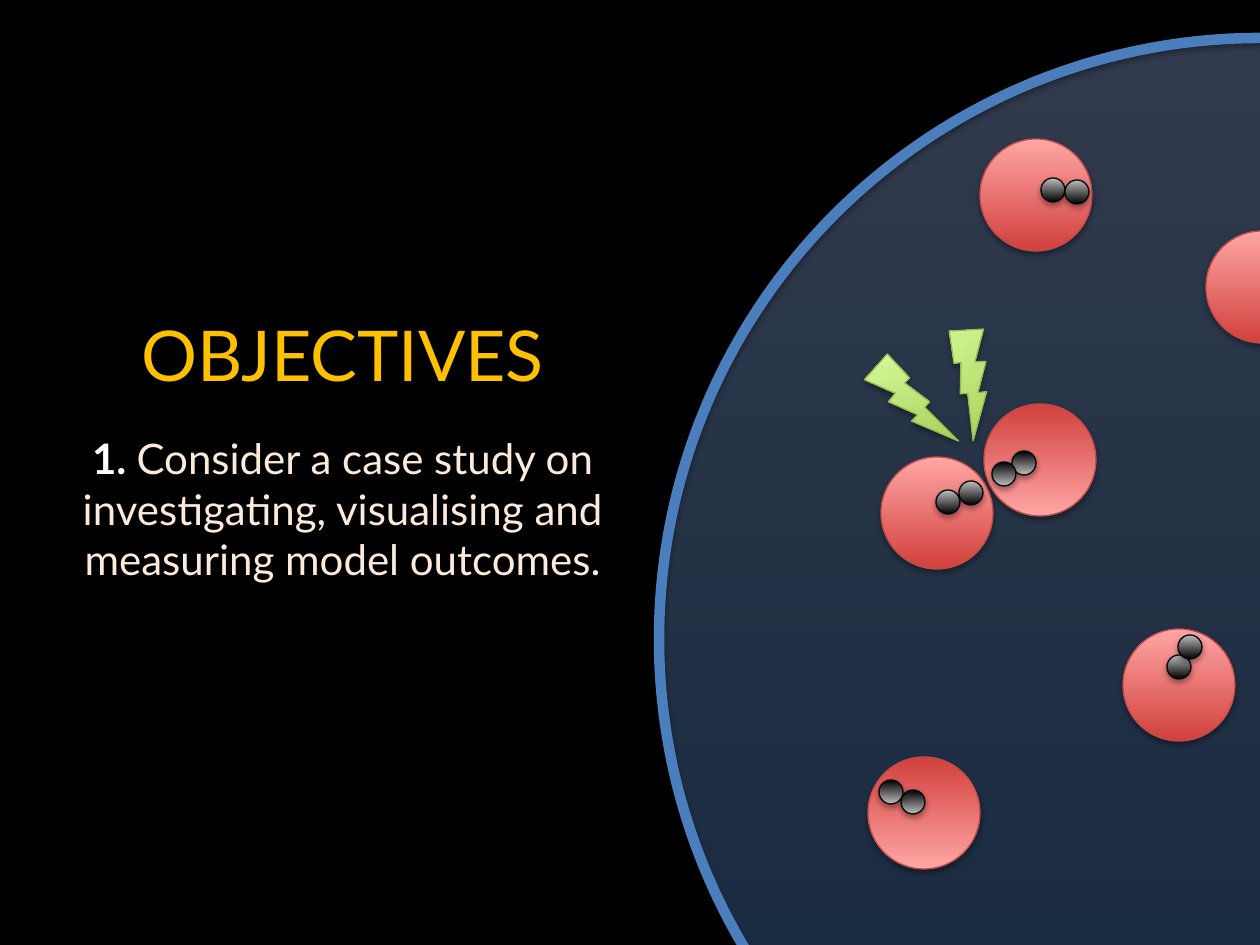
from typing import NamedTuple, Optional

from lxml.etree import SubElement as Sub
from pptx import Presentation
from pptx.dml.color import RGBColor as Rgb
from pptx.enum.shapes import MSO_SHAPE as Kind
from pptx.enum.text import MSO_ANCHOR as Anchor, PP_ALIGN as Align
from pptx.oxml.ns import qn
from pptx.util import Pt

SCALE = 914400 / 126
FONT = "Lato"
HEX = {
    "back": "000000", "title": "FFC000", "mark": "FFFFFF", "body": "FDEADA",
    "rim": "4B7EBC", "deep": "3F80CE", "pale": "A4C4FF",
    "red": "D1403C", "pink": "FFA6A5", "edge": "BF4C48",
    "black": "000000", "grey": "BDBDBD",
    "green": "A0CA4A", "lime": "DAFFA5", "leaf": "98B955",
}
DISC = (659, 38, 1202, 1202)
CELL, BALL = 112, 24


class Look(NamedTuple):
    line: str
    width: float = 0.75
    low: Optional[str] = None
    high: Optional[str] = None
    alpha: int = 100


class Cell(NamedTuple):
    left: int
    top: int
    balls: tuple = ()
    turned: bool = False


class Bolt(NamedTuple):
    left: int
    top: int
    angle: float
    flip: bool = False


HAZE = Look("rim", 0.75, "deep", "pale", 29)
RING = Look("rim", 6)
FLESH = Look("edge", 0.75, "red", "pink")
BEAD = Look("black", 0.75, "black", "grey")
SPARK = Look("leaf", 0.75, "green", "lime")

CELLS = [
    Cell(881, 457, ((936, 490), (959, 481))),
    Cell(984, 404, ((1012, 451), (992, 462)), True),
    Cell(868, 757, ((901, 790), (879, 780)), True),
    Cell(1206, 231),
    Cell(1123, 629, ((1167, 655), (1178, 635))),
    Cell(980, 139, ((1041, 178), (1065, 180))),
]
BOLTS = [Bolt(872, 350, 344.3), Bolt(936, 326, 324.1, True)]


def px(count: int) -> int:
    return round(count * SCALE)


def tint(name: str) -> Rgb:
    return Rgb.from_string(HEX[name])


def shade(shape) -> None:
    list_ = Sub(shape._element.spPr, qn("a:effectLst"))
    cast = Sub(list_, qn("a:outerShdw"), blurRad="40000", dist="23000",
               dir="5400000", rotWithShape="0")
    color = Sub(cast, qn("a:srgbClr"), val=HEX["black"])
    Sub(color, qn("a:alpha"), val="35000")


def draw(slide, kind: Kind, box: tuple, look: Look, turned: bool = False):
    shape = slide.shapes.add_shape(kind, *map(px, box))
    fill = shape.fill
    if look.low:
        fill.gradient()
        fill.gradient_angle = 270 if turned else 90
        for stop, name in zip(fill.gradient_stops, (look.low, look.high)):
            stop.color.rgb = tint(name)
        if look.alpha < 100:
            for color in shape._element.spPr.iter(qn("a:srgbClr")):
                Sub(color, qn("a:alpha"), val=str(look.alpha * 1000))
    else:
        fill.background()
    shape.line.color.rgb = tint(look.line)
    shape.line.width = Pt(look.width)
    shade(shape)
    return shape


def draw_cell(slide, cell: Cell) -> None:
    draw(slide, Kind.OVAL, (cell.left, cell.top, CELL, CELL), FLESH, cell.turned)
    for left, top in cell.balls:
        draw(slide, Kind.OVAL, (left, top, BALL, BALL), BEAD, cell.turned)


def draw_bolt(slide, bolt: Bolt) -> None:
    shape = draw(slide, Kind.LIGHTNING_BOLT, (bolt.left, bolt.top, 74, 103), SPARK)
    shape.rotation = bolt.angle
    if bolt.flip:
        shape._element.spPr.xfrm.set("flipH", "1")


def write(para, size: int, parts: list) -> None:
    para.alignment = Align.CENTER
    para.font.name = FONT
    para.font.size = Pt(size)
    for text, name, bold in parts:
        run = para.add_run()
        run.text = text
        run.font.color.rgb = tint(name)
        run.font.bold = bold


def draw_text(slide) -> None:
    frame = slide.shapes.add_textbox(*map(px, (0, 38, 685, 820))).text_frame
    frame.word_wrap = True
    frame.vertical_anchor = Anchor.MIDDLE
    write(frame.paragraphs[0], 40, [("OBJECTIVES", "title", False)])
    body = frame.add_paragraph()
    body.space_before = Pt(21)
    write(body, 24, [
        ("1. ", "mark", True),
        ("Consider a case study on investigating, visualising and "
         "measuring model outcomes.", "body", False),
    ])


def main() -> None:
    deck = Presentation()
    deck.slide_width, deck.slide_height = px(1260), px(945)
    slide = deck.slides.add_slide(deck.slide_layouts[6])
    slide.background.fill.solid()
    slide.background.fill.fore_color.rgb = tint("back")
    draw_text(slide)
    for look in (HAZE, RING):
        draw(slide, Kind.OVAL, DISC, look)
    for cell in CELLS:
        draw_cell(slide, cell)
    for bolt in BOLTS:
        draw_bolt(slide, bolt)
    deck.save("out.pptx")


if __name__ == "__main__":
    main()
